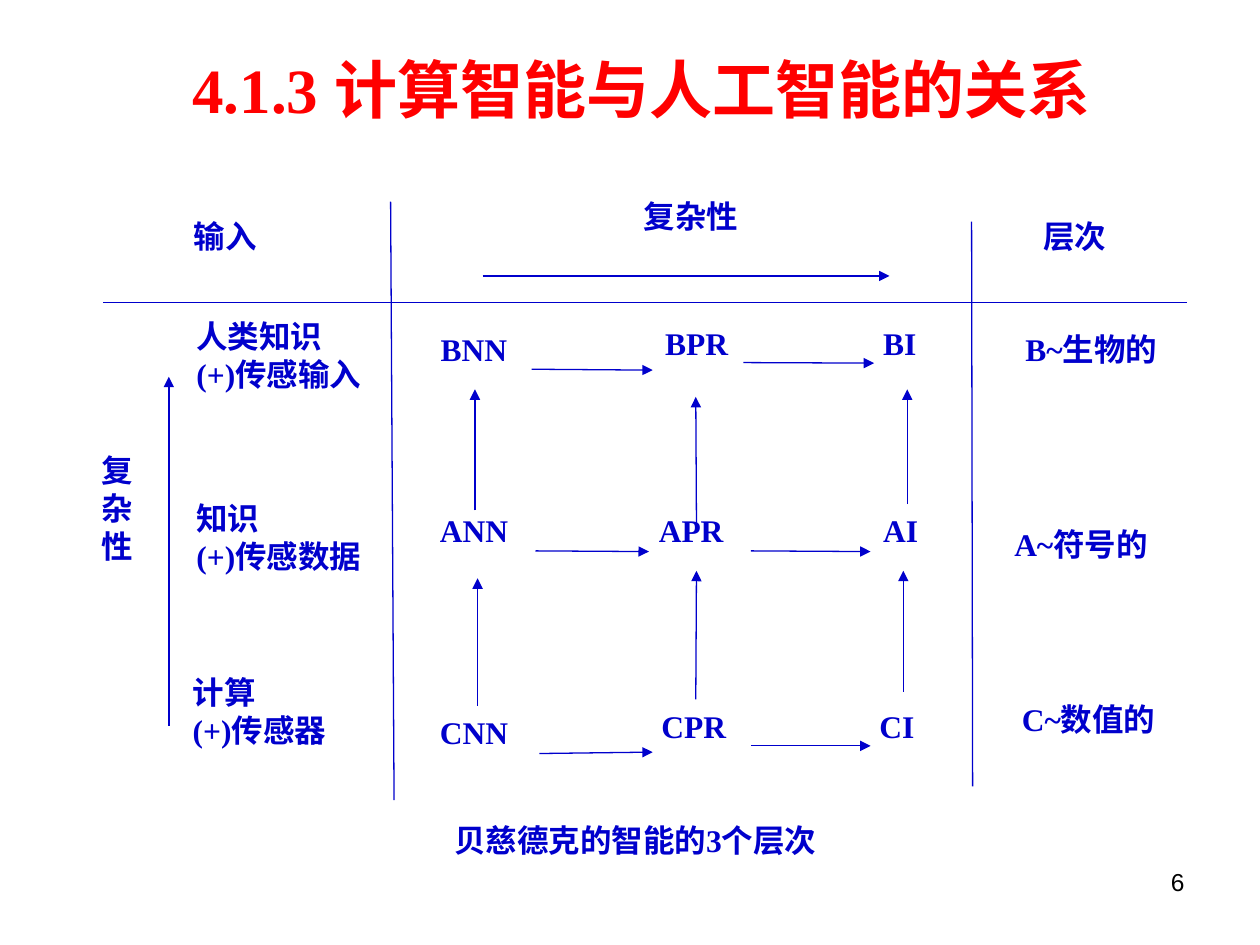
from lxml.etree import SubElement
from pptx import Presentation
from pptx.dml.color import RGBColor
from pptx.enum.shapes import MSO_CONNECTOR as Conn, MSO_SHAPE as Shape
from pptx.enum.text import MSO_ANCHOR as Anchor, PP_ALIGN as Align
from pptx.oxml.ns import qn
from pptx.util import Pt

BLUE = RGBColor(0x00, 0x00, 0xCC)
RED = RGBColor(0xFF, 0x00, 0x00)
BLACK = RGBColor(0x00, 0x00, 0x00)
WHITE = RGBColor(0xFF, 0xFF, 0xFF)


def write(sp, text, size=18, font="Times New Roman", color=BLUE, bold=True,
          align=Align.JUSTIFY, anchor=Anchor.TOP, pad=(1.4, 0.7), indent=0):
    tf = sp.text_frame
    tf.word_wrap = True
    tf.vertical_anchor = anchor
    tf.margin_left = tf.margin_right = Pt(pad[0])
    tf.margin_top = tf.margin_bottom = Pt(pad[1])
    for i, line in enumerate(text.split("\n")):
        p = tf.add_paragraph() if i else tf.paragraphs[0]
        p.alignment = align
        if indent:
            p._p.get_or_add_pPr().set("marL", str(Pt(indent)))
        r = p.add_run()
        r.text = line
        r.font.size = Pt(size)
        r.font.name = font
        r.font.bold = bold
        r.font.color.rgb = color


class Deck:
    line_width = 0.75

    def __init__(self, width, height):
        self.prs = Presentation()
        self.prs.slide_width, self.prs.slide_height = Pt(width), Pt(height)
        self.s = self.prs.slides.add_slide(self.prs.slide_layouts[6])

    def label(self, text, box, **fmt):
        write(self.s.shapes.add_textbox(*map(Pt, box)), text, **fmt)

    def panel(self, text, box, **fmt):
        sp = self.s.shapes.add_shape(Shape.RECTANGLE, *map(Pt, box))
        sp.shadow.inherit = False
        sp.fill.solid()
        sp.fill.fore_color.rgb = WHITE
        sp.line.fill.background()
        write(sp, text, **fmt)

    def line(self, ends, arrow=False):
        c = self.s.shapes.add_connector(Conn.STRAIGHT, *map(Pt, ends))
        c.line.color.rgb = BLUE
        c.line.width = Pt(self.line_width)
        if arrow:
            SubElement(c.line._get_or_add_ln(), qn("a:tailEnd"), type="triangle")
        SubElement(c._element.spPr, qn("a:effectLst"))

    def arrow(self, ends):
        self.line(ends, arrow=True)


AXES = [
    (59, 172.8, 678.2, 172.8),
    (223.2, 115.2, 225.2, 457.2),
    (555.2, 126.7, 555.8, 449.3),
]
NODES = [
    ("CNN", 250, 406.8), ("CPR", 376.6, 403.2), ("CI", 501.1, 403.2),
    ("ANN", 250, 291.6), ("APR", 375.1, 291.6), ("AI", 503.3, 291.6),
    ("BNN", 250.4, 187.9), ("BPR", 378.7, 184.3), ("BI", 503.3, 184.3),
]
ARROWS = [
    (308.2, 430.6, 373, 429.8), (429.1, 426.2, 497.5, 426.2),
    (306, 314.8, 370.8, 315.2), (429.1, 314.8, 497.5, 315.2),
    (303.8, 211, 373, 211.5), (424.8, 207.2, 499.5, 207.5),
    (272.9, 403.2, 272.9, 330.5), (271.4, 291.6, 271.4, 222.5),
    (397.6, 399.6, 398, 326.2), (398, 299.5, 397.6, 226.8),
    (516.2, 395.3, 516.2, 326.2), (518.4, 288, 518.4, 222.5),
    (96.5, 414.7, 96.5, 215.3), (275.8, 157.7, 508.3, 157.7),
]
INPUTS = [
    ("人类知识\n(+)传感输入", 110.9, 180.7),
    ("知识\n(+)传感数据", 110.9, 284.4),
    ("计算\n(+)传感器", 108.7, 383.8),
]
LABELS = [
    ("B~生物的", (584.6, 187.9, 93.6, 42.5)),
    ("A~符号的", (578.2, 299.5, 89.3, 41.8)),
    ("C~数值的", (582.5, 399.6, 87.1, 38.2)),
    ("复杂性", (56.9, 257, 26.6, 118.8)),
    ("复杂性", (366.5, 111.6, 69.1, 35.3)),
    ("输入", (109.4, 123.1, 47.5, 38.2)),
    ("层次", (594.7, 123.1, 47.5, 38.2)),
]


def main():
    deck = Deck(720, 540)
    deck.label("6", (516.2, 491.8, 167.8, 37.4), size=14, font="Arial",
               color=BLACK, bold=False, align=Align.RIGHT, pad=(7.2, 3.6))
    for ends in AXES:
        deck.line(ends)
    for name, left, top in NODES:
        width = 47.5 if len(name) == 3 else 36.7
        deck.label(name, (left, top, width, 38.2))
    for ends in ARROWS:
        deck.arrow(ends)
    for text, left, top in INPUTS:
        deck.panel(text, (left, top, 97.9, 77))
    for text, box in LABELS:
        deck.label(text, box)
    deck.label("贝慈德克的智能的3个层次", (237.6, 468.7, 298.8, 42.5), indent=20.5)
    deck.label("4.1.3 计算智能与人工智能的关系", (42.5, 18, 648, 64.8), size=36,
               color=RED, align=Align.CENTER, anchor=Anchor.MIDDLE, pad=(7.2, 3.6))
    deck.prs.save("out.pptx")


if __name__ == "__main__":
    main()
